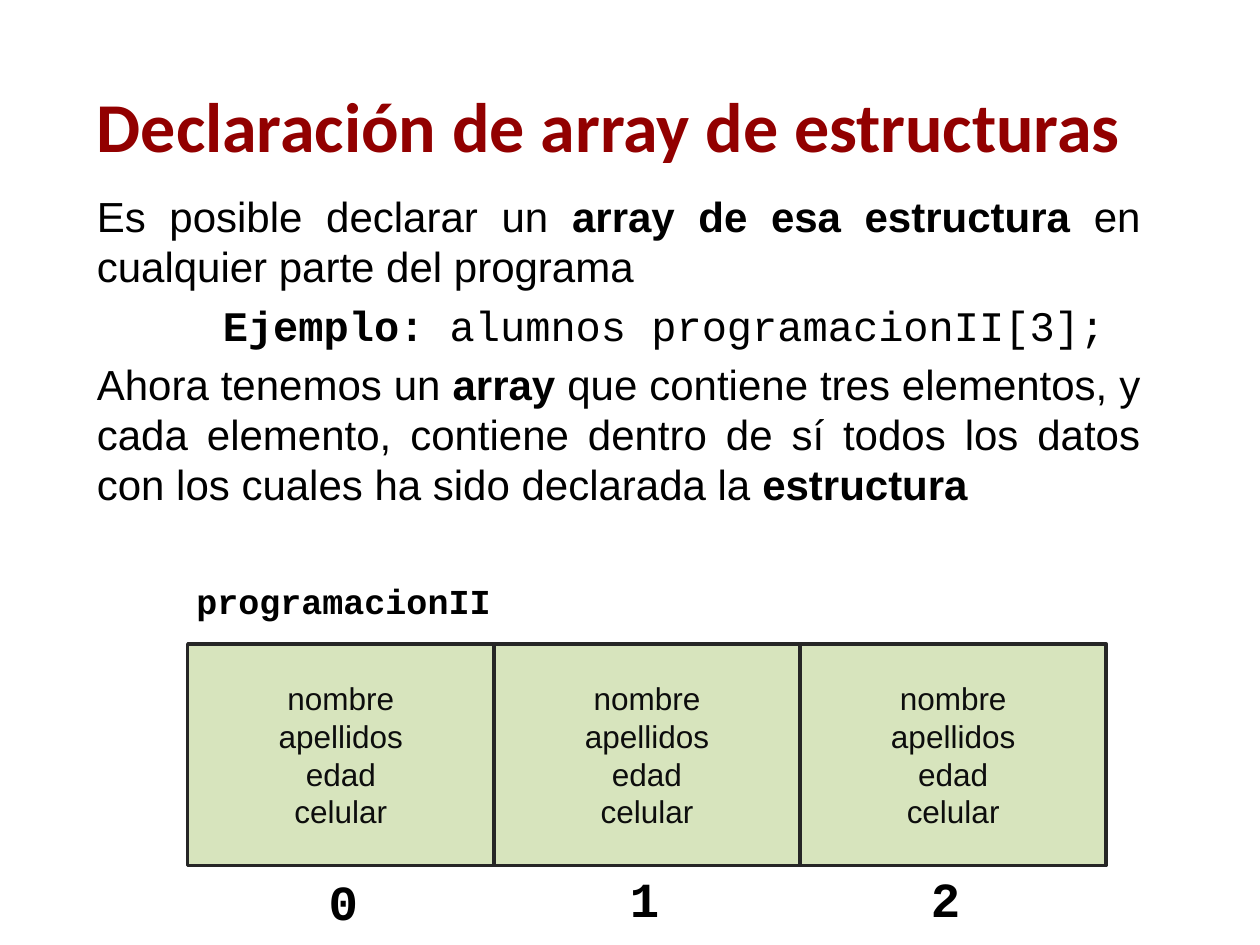
from pptx import Presentation
from pptx.dml.color import RGBColor
from pptx.enum.shapes import MSO_SHAPE
from pptx.enum.text import MSO_ANCHOR, MSO_AUTO_SIZE, PP_ALIGN
from pptx.util import Inches, Pt


def color(hex_string):
    return RGBColor.from_string(hex_string)


class SlideBuilder:
    """Holds the style and the current slide."""

    TITLE_COLOR = "920000"
    TEXT_COLOR = "000000"
    CELL_TEXT = "0D0D0D"
    CELL_FILL = "D7E4BD"
    CELL_LINE = "262626"
    TITLE_FONT = "Calibri"
    BODY_FONT = "Arial"
    CODE_FONT = "Courier New"

    def __init__(self, slide):
        self.slide = slide

    def text_box(self, left, top, width, height, wrap=True, grow=False):
        shape = self.slide.shapes.add_textbox(
            Inches(left), Inches(top), Inches(width), Inches(height))
        frame = shape.text_frame
        frame.word_wrap = wrap
        frame.auto_size = (MSO_AUTO_SIZE.SHAPE_TO_FIT_TEXT if grow
                           else MSO_AUTO_SIZE.NONE)
        return frame

    def paragraph(self, frame, runs, size, font, text_color,
                  align=PP_ALIGN.LEFT, space_before=0, indent=0):
        """Fill the empty first paragraph or add one; runs are (text, bold)."""
        paragraph = frame.paragraphs[0]
        if paragraph.runs:
            paragraph = frame.add_paragraph()
        paragraph.alignment = align
        paragraph.space_before = Pt(space_before)
        if indent:
            paragraph._p.get_or_add_pPr().set("marL", str(Inches(indent)))
        for text, bold in runs:
            run = paragraph.add_run()
            run.text = text
            run.font.size = Pt(size)
            run.font.name = font
            run.font.bold = bold
            run.font.color.rgb = color(text_color)

    def title(self, text, left, top, width, height):
        frame = self.text_box(left, top, width, height)
        frame.vertical_anchor = MSO_ANCHOR.MIDDLE
        self.paragraph(frame, [(text, True)], 40, self.TITLE_FONT,
                       self.TITLE_COLOR, PP_ALIGN.JUSTIFY)

    def body(self, paragraphs, left, top, width, height):
        frame = self.text_box(left, top, width, height)
        for runs, font, align, indent in paragraphs:
            self.paragraph(frame, runs, 24, font, self.TEXT_COLOR,
                           align, space_before=4.8, indent=indent)

    def code_label(self, text, size, left, top, width, height, wrap=True):
        frame = self.text_box(left, top, width, height, wrap, grow=True)
        self.paragraph(frame, [(text, True)], size, self.CODE_FONT,
                       self.TEXT_COLOR)

    def cell(self, lines, left, top, width, height):
        shape = self.slide.shapes.add_shape(
            MSO_SHAPE.RECTANGLE,
            Inches(left), Inches(top), Inches(width), Inches(height))
        shape.shadow.inherit = False
        shape.fill.solid()
        shape.fill.fore_color.rgb = color(self.CELL_FILL)
        shape.line.color.rgb = color(self.CELL_LINE)
        shape.line.width = Pt(2)
        frame = shape.text_frame
        frame.vertical_anchor = MSO_ANCHOR.MIDDLE
        for line in lines:
            self.paragraph(frame, [(line, False)], 18, self.BODY_FONT,
                           self.CELL_TEXT, PP_ALIGN.CENTER)


def main():
    presentation = Presentation()
    presentation.slide_width = Inches(10)
    presentation.slide_height = Inches(7.5)
    slide = presentation.slides.add_slide(presentation.slide_layouts[6])
    builder = SlideBuilder(slide)

    # Title and explanation
    builder.title("Declaración de array de estructuras", 0.67, 0.6, 8.75, 0.78)
    builder.body([
        ([("Es posible declarar un ", False),
          ("array de esa estructura", True),
          (" en cualquier parte del programa", False)],
         builder.BODY_FONT, PP_ALIGN.JUSTIFY, 0),
        ([("Ejemplo:", True), (" alumnos programacionII[3];", False)],
         builder.CODE_FONT, PP_ALIGN.LEFT, 1),
        ([("Ahora tenemos un ", False),
          ("array", True),
          (" que contiene tres elementos, y cada elemento, contiene dentro "
           "de sí todos los datos con los cuales ha sido declarada la ", False),
          ("estructura", True)],
         builder.BODY_FONT, PP_ALIGN.JUSTIFY, 0),
    ], 0.67, 1.46, 8.48, 2.96)

    # Array cells
    fields = ["nombre", "apellidos", "edad", "celular"]
    cell_width = 2.43
    for index in range(3):
        builder.cell(fields, 1.49 + index * cell_width, 5.11, cell_width, 1.76)

    # Array name and indexes
    builder.code_label("programacionII", 20, 1.46, 4.55, 2.56, 0.44, wrap=False)
    for index, top in enumerate([6.87, 6.84, 6.84]):
        builder.code_label(str(index), 28, 2.51 + index * 2.39, top, 0.44, 0.57)

    presentation.save("out.pptx")


if __name__ == "__main__":
    main()
